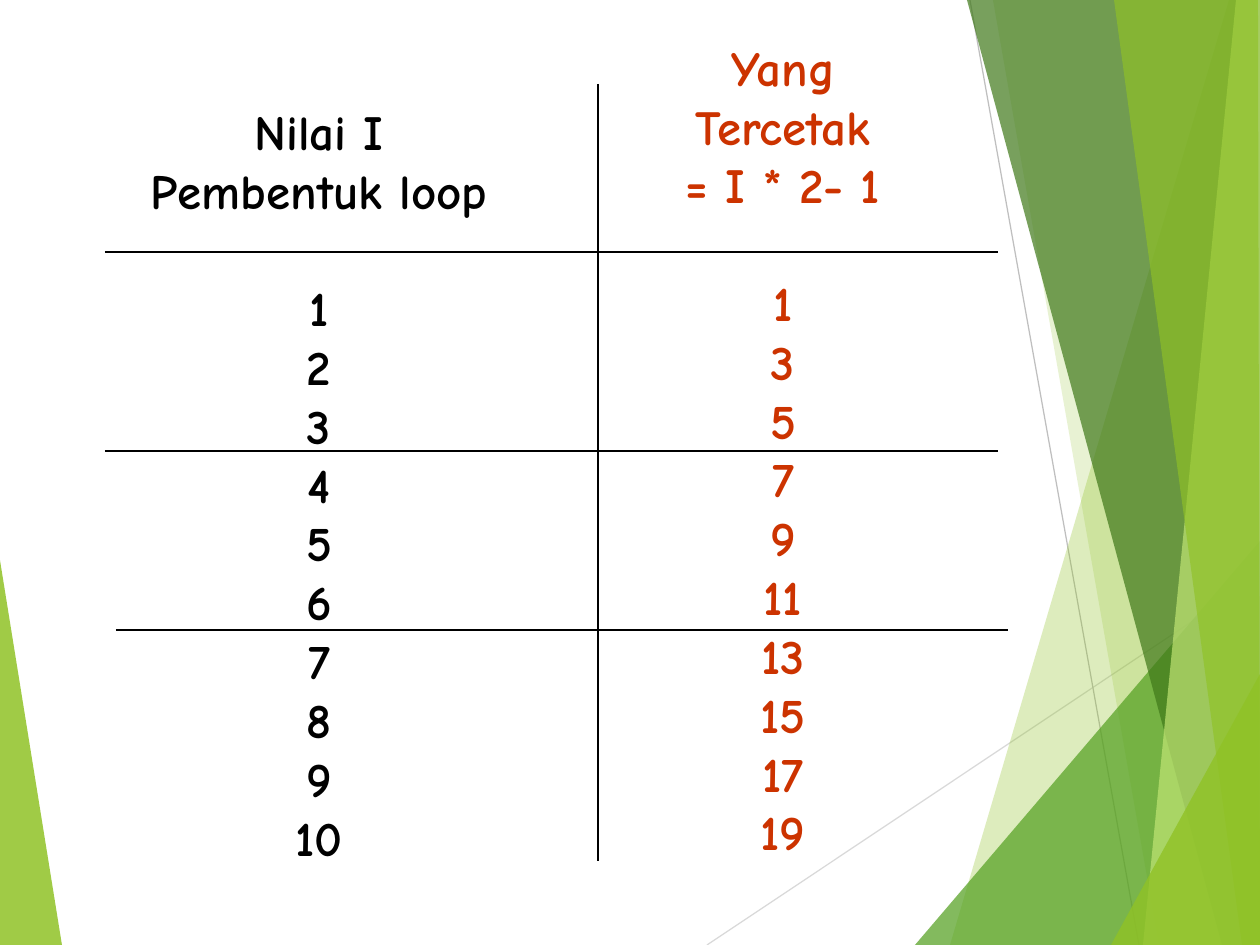
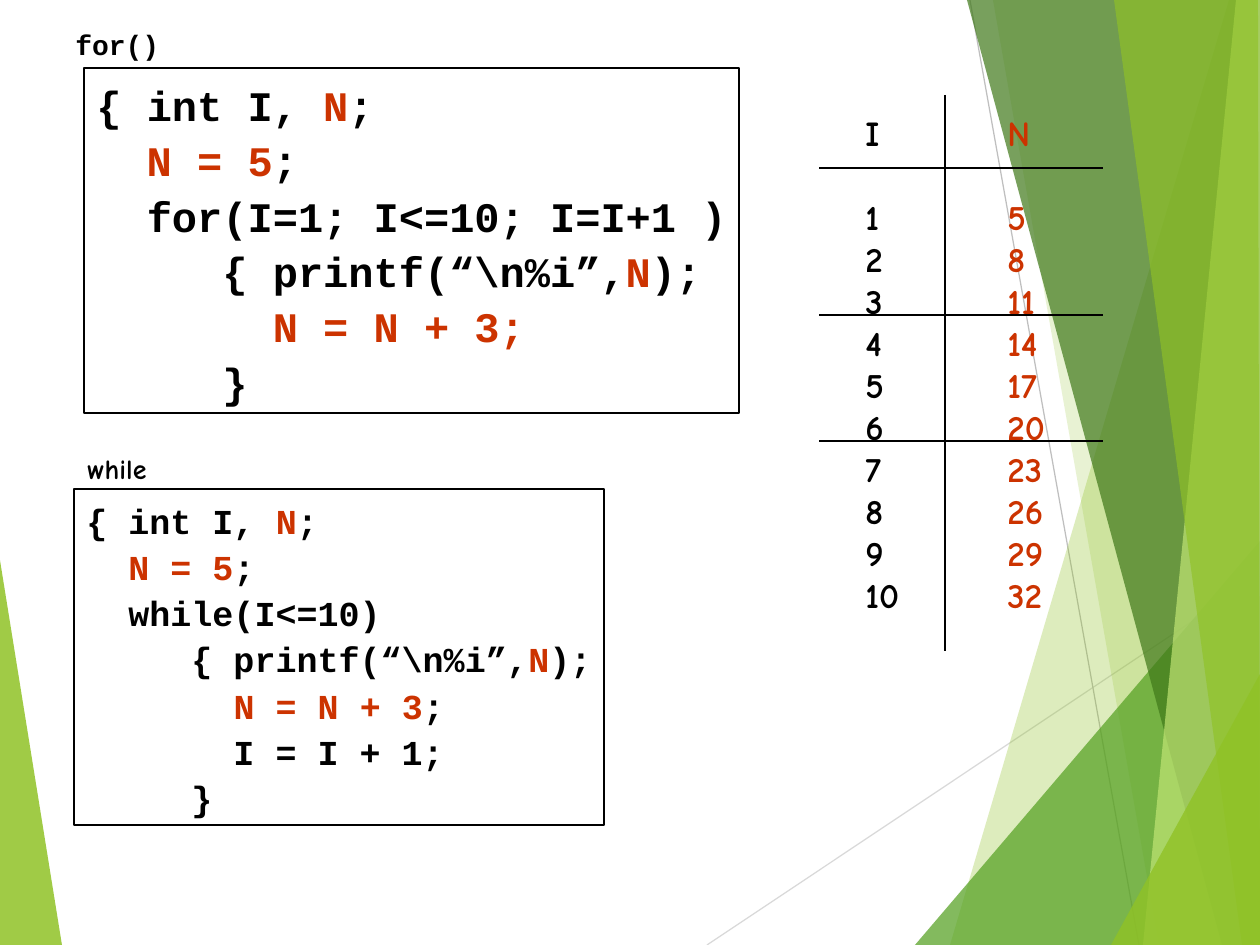
from dataclasses import dataclass

from lxml import etree
from pptx import Presentation
from pptx.dml.color import RGBColor
from pptx.enum.shapes import MSO_CONNECTOR, MSO_SHAPE
from pptx.enum.text import MSO_ANCHOR, MSO_AUTO_SIZE, PP_ALIGN
from pptx.oxml.ns import qn
from pptx.util import Emu, Pt

# Scale: 126 px to the inch
PX = 914400 / 126
PAGE_WIDTH, PAGE_HEIGHT = 1260, 945

BLACK = RGBColor(0x00, 0x00, 0x00)
RED = RGBColor(0xCC, 0x33, 0x00)
LIME = RGBColor(0x90, 0xC2, 0x26)
PALE_LIME = RGBColor(0xC0, 0xE4, 0x74)
GREEN = RGBColor(0x54, 0xA0, 0x21)
DARK_GREEN = RGBColor(0x3F, 0x78, 0x19)
LIGHT_GREY = RGBColor(0xD9, 0xD9, 0xD9)
GREY = RGBColor(0xBF, 0xBF, 0xBF)

HAND_FONT = "Comic Neue"
CODE_FONT = "Courier New"
LINE_HEIGHT = 1.2
LINE_WIDTH = Pt(0.7)
BLANK_LAYOUT = 6
STRAIGHT = MSO_CONNECTOR.STRAIGHT
RECTANGLE = MSO_SHAPE.RECTANGLE
TOP = MSO_ANCHOR.TOP
GROW = MSO_AUTO_SIZE.SHAPE_TO_FIT_TEXT
LEFT, CENTER = PP_ALIGN.LEFT, PP_ALIGN.CENTER


@dataclass
class Facet:
    points: list
    color: RGBColor
    opacity: int


@dataclass
class Rule:
    start: tuple
    end: tuple
    color: RGBColor = BLACK


@dataclass
class Column:
    box: tuple
    heading: list
    values: list
    size: int
    color: RGBColor
    align: PP_ALIGN = LEFT


@dataclass
class Label:
    box: tuple
    text: str
    font: str


@dataclass
class Listing:
    """Code whose red spans stand between bars."""
    box: tuple
    size: int
    lines: list


# Shared background
LEFT_FACET = Facet([(0, 560), (62, 945), (0, 945)], LIME, 85)
BACKGROUND_RULES = [
    Rule((707, 945), (1260, 576), LIGHT_GREY),
    Rule((970, 0), (1139, 945), GREY),
]
RIGHT_FACETS = [
    Facet([(1229, 0), (950, 945), (1260, 945), (1260, 0)], LIME, 30),
    Facet([(993, 0), (1159, 945), (1260, 945), (1260, 0)], LIME, 20),
    Facet([(915, 945), (1260, 541), (1260, 945)], GREEN, 72),
    Facet([(967, 0), (1222, 945), (1260, 945), (1260, 0)], DARK_GREEN, 70),
    Facet([(1236, 0), (1143, 945), (1260, 945), (1260, 0)], PALE_LIME, 70),
    Facet([(1114, 0), (1242, 945), (1260, 945), (1258, 0)], LIME, 65),
    Facet([(1111, 945), (1260, 674), (1260, 945)], LIME, 80),
]

# Slide contents
COUNTS = range(1, 11)

ODD_NUMBERS = [
    Column((668, 31, 230, 837), ["Yang", "Tercetak", "= I * 2- 1"],
           [2 * i - 1 for i in COUNTS], 28, RED, CENTER),
    Column((134, 95, 370, 777), ["Nilai I", "Pembentuk loop"],
           list(COUNTS), 28, BLACK, CENTER),
    Rule((105, 252), (998, 252)),
    Rule((598, 84), (598, 861)),
    Rule((105, 451), (998, 451)),
    Rule((116, 630), (1008, 630)),
]

STEPS_OF_THREE = [
    Listing((84, 68, 655, 345), 24, [
        "{ int I, |N|;",
        "  |N = 5|;",
        "  for(I=1; I<=10; I=I+1 )",
        r"     { printf(“\n%i”,|N|);",
        "       |N = N + 3;",
        "     }",
    ]),
    Label((63, 21, 120, 47), "for()", CODE_FONT),
    Listing((74, 489, 530, 336), 20, [
        "{ int I, |N|;",
        "  |N = 5|;",
        "  while(I<=10)",
        r"     { printf(“\n%i”,|N|);",
        "       |N = N + 3|;",
        "       I = I + 1;",
        "     }",
    ]),
    Label((75, 445, 96, 47), "while", HAND_FONT),
    Column((853, 105, 64, 517), ["I"], list(COUNTS), 20, BLACK),
    Column((995, 105, 68, 517), ["N"], [3 * i + 2 for i in COUNTS], 20, RED),
    Rule((945, 95), (945, 651)),
    *[Rule((819, y), (1103, y)) for y in (168, 315, 441)],
]


def px(*lengths: int) -> list:
    return [Emu(round(length * PX)) for length in lengths]


def set_font(font, name: str, size: int, color: RGBColor) -> None:
    font.name, font.size, font.bold = name, Pt(size), True
    font.color.rgb = color


def prepare_frame(shape):
    frame = shape.text_frame
    frame.word_wrap = False
    frame.auto_size = GROW
    frame.vertical_anchor = TOP
    return frame


def draw_facet(page, facet: Facet):
    builder = page.shapes.build_freeform(*facet.points[0], scale=PX)
    builder.add_line_segments(facet.points[1:], close=True)
    shape = builder.convert_to_shape()
    shape.shadow.inherit = False
    shape.line.fill.background()
    shape.fill.solid()
    shape.fill.fore_color.rgb = facet.color
    color = shape.element.find(".//" + qn("a:srgbClr"))
    etree.SubElement(color, qn("a:alpha"), val=str(facet.opacity * 1000))
    return shape


def draw_rule(page, rule: Rule):
    line = page.shapes.add_connector(STRAIGHT, *px(*rule.start, *rule.end))
    line.line.color.rgb = rule.color
    line.line.width = LINE_WIDTH
    etree.SubElement(line.element.spPr, qn("a:effectLst"))
    return line


def draw_column(page, column: Column):
    box = page.shapes.add_textbox(*px(*column.box))
    frame = prepare_frame(box)
    frame.text = "\n".join(map(str, column.heading + column.values))
    for para in frame.paragraphs:
        para.alignment = column.align
        set_font(para.font, HAND_FONT, column.size, column.color)
    # One line of space parts the heading from the values
    first_value = frame.paragraphs[len(column.heading)]
    first_value.space_before = Pt(column.size * LINE_HEIGHT)
    return box


def draw_label(page, label: Label):
    box = page.shapes.add_textbox(*px(*label.box))
    para = prepare_frame(box).paragraphs[0]
    para.text = label.text
    para.alignment = LEFT
    set_font(para.font, label.font, 16, BLACK)
    return box


def draw_listing(page, listing: Listing):
    box = page.shapes.add_shape(RECTANGLE, *px(*listing.box))
    box.shadow.inherit = False
    box.fill.background()
    box.line.color.rgb = BLACK
    box.line.width = LINE_WIDTH
    frame = prepare_frame(box)
    for number, line in enumerate(listing.lines):
        para = frame.add_paragraph() if number else frame.paragraphs[0]
        para.alignment = LEFT
        para.line_spacing = 1.1
        set_font(para.font, CODE_FONT, listing.size, BLACK)
        for position, text in enumerate(line.split("|")):
            if text:
                span = para.add_run()
                span.text = text
                color = RED if position % 2 else BLACK
                set_font(span.font, CODE_FONT, listing.size, color)
    return box


DRAWERS = {Facet: draw_facet, Rule: draw_rule, Column: draw_column,
           Label: draw_label, Listing: draw_listing}


def draw(page, parts: list) -> list:
    return [DRAWERS[type(part)](page, part) for part in parts]


def move_to_layout(shapes: list, layout) -> None:
    for placeholder in list(layout.placeholders):
        layout.shapes.element.remove(placeholder.element)
    for shape in shapes:
        layout.shapes.element.append(shape.element)


def main() -> None:
    deck = Presentation()
    deck.slide_width, deck.slide_height = px(PAGE_WIDTH, PAGE_HEIGHT)
    layout = deck.slide_layouts[BLANK_LAYOUT]
    pages = [deck.slides.add_slide(layout) for _ in range(2)]

    # The background is built once and shared through the layout
    background = [LEFT_FACET, *BACKGROUND_RULES, *RIGHT_FACETS]
    move_to_layout(draw(pages[0], background), layout)

    for page, parts in zip(pages, (ODD_NUMBERS, STEPS_OF_THREE)):
        draw(page, parts)
    deck.save("out.pptx")


if __name__ == "__main__":
    main()
